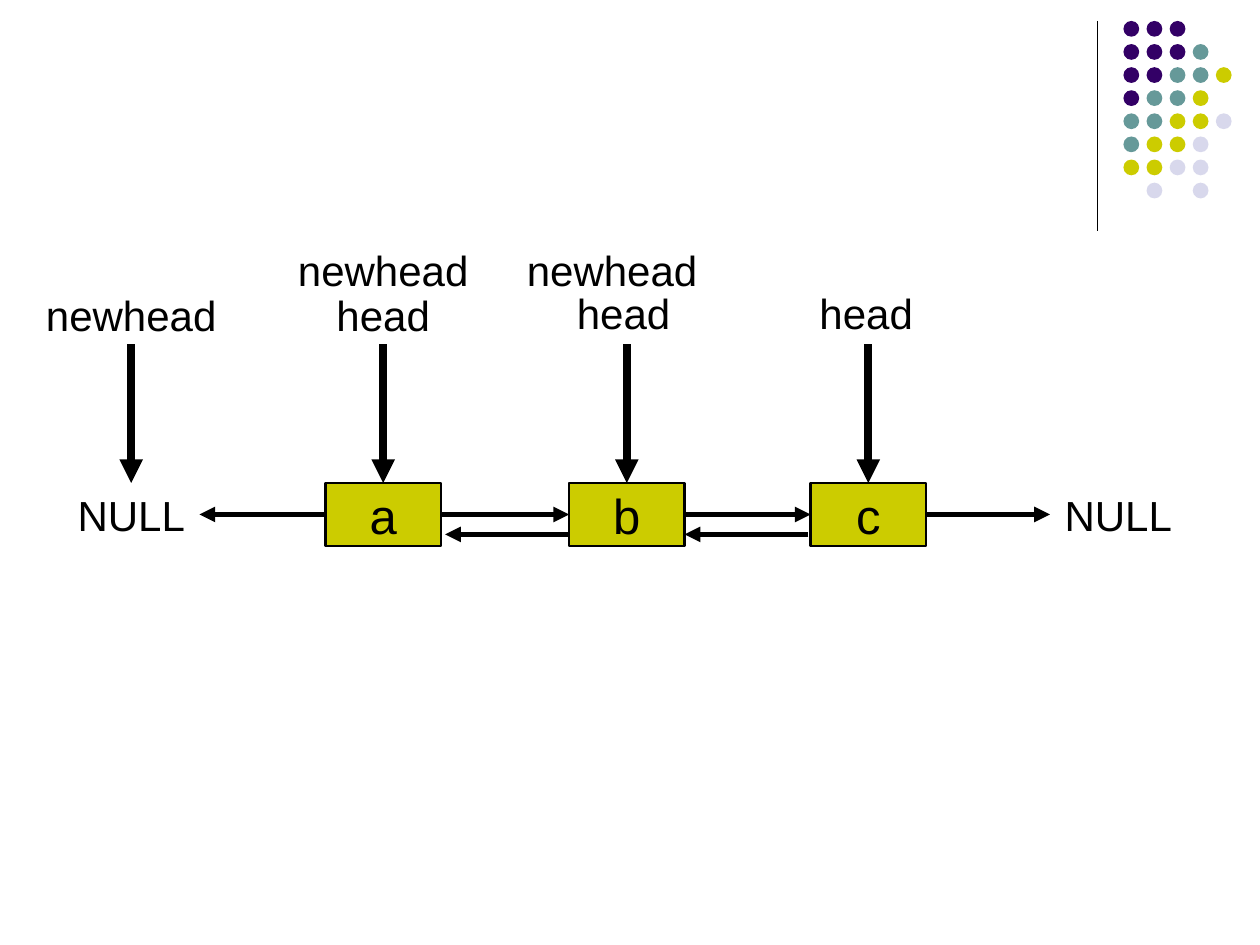
from dataclasses import dataclass

from lxml import etree
from pptx import Presentation
from pptx.dml.color import RGBColor
from pptx.enum.shapes import MSO_CONNECTOR, MSO_SHAPE
from pptx.enum.text import MSO_ANCHOR, PP_ALIGN
from pptx.oxml.ns import qn
from pptx.util import Inches, Pt

RECTANGLE = MSO_SHAPE.RECTANGLE
OVAL = MSO_SHAPE.OVAL
STRAIGHT = MSO_CONNECTOR.STRAIGHT
CENTER = PP_ALIGN.CENTER
MIDDLE = MSO_ANCHOR.MIDDLE
TOP, LEFT, RIGHT = 0, 1, 3
COLUMNS, ROWS = 120, 90


@dataclass(frozen=True)
class Theme:
    """Colours, font, type sizes and line weights."""
    ink: str = "000000"
    purple: str = "330066"
    teal: str = "669999"
    lime: str = "CCCC00"
    lavender: str = "D8D8EC"
    font: str = "Arial"
    node_size: int = 28
    label_size: int = 24
    rule: float = 0.75
    outline: float = 1.5
    link: float = 3
    pointer: float = 4.5


class ListDiagram:
    """Draws linked-list elements on a slide grid."""

    def __init__(self, presentation, slide, theme):
        self.slide = slide
        self.theme = theme
        self.column = presentation.slide_width / COLUMNS
        self.row = presentation.slide_height / ROWS

    def place(self, column, row):
        """Convert grid units to slide lengths."""
        return round(column * self.column), round(row * self.row)

    def set_text(self, shape, text, size):
        """Set one centred run in a shape."""
        frame = shape.text_frame
        frame.vertical_anchor = MIDDLE
        paragraph = frame.paragraphs[0]
        paragraph.alignment = CENTER
        run = paragraph.add_run()
        run.text = text
        run.font.name = self.theme.font
        run.font.size = Pt(size)
        run.font.color.rgb = RGBColor.from_string(self.theme.ink)

    def solid(self, kind, column, row, width, height, color):
        """Add a plain filled shape."""
        shape = self.slide.shapes.add_shape(
            kind, *self.place(column, row), *self.place(width, height))
        shape.shadow.inherit = False
        shape.fill.solid()
        shape.fill.fore_color.rgb = RGBColor.from_string(color)
        shape.line.fill.background()
        return shape

    def node(self, text, column):
        """Add an outlined list node."""
        shape = self.solid(RECTANGLE, column, 46, 11, 6, self.theme.lime)
        shape.line.color.rgb = RGBColor.from_string(self.theme.ink)
        shape.line.width = Pt(self.theme.outline)
        shape.text_frame.word_wrap = False
        self.set_text(shape, text, self.theme.node_size)
        return shape

    def label(self, text, center, row, width):
        """Add a text label centred on a column."""
        box = self.slide.shapes.add_textbox(
            *self.place(center - width / 2, row), *self.place(width, 6))
        box.text_frame.word_wrap = True
        self.set_text(box, text, self.theme.label_size)
        return box

    def line(self, start, end, weight, arrow=True, source=None, target=None):
        """Add a straight line, joined to shape sides where given."""
        connector = self.slide.shapes.add_connector(
            STRAIGHT, *self.place(*start), *self.place(*end))
        if source:
            connector.begin_connect(*source)
        if target:
            connector.end_connect(*target)
        connector.line.color.rgb = RGBColor.from_string(self.theme.ink)
        connector.line.width = Pt(weight)
        properties = connector._element.spPr
        if arrow:
            outline = properties.find(qn("a:ln"))
            etree.SubElement(outline, qn("a:tailEnd"), type="triangle")
        etree.SubElement(properties, qn("a:effectLst"))

    def dots(self, pattern, column, row, pitch, size):
        """Add a dot grid from rows of colour letters."""
        colors = {"p": self.theme.purple, "t": self.theme.teal,
                  "y": self.theme.lime, "l": self.theme.lavender}
        for down, letters in enumerate(pattern):
            for across, letter in enumerate(letters):
                if letter in colors:
                    self.solid(OVAL, column + across * pitch, row + down * pitch,
                               size, size, colors[letter])


def main():
    """Build and save the linked-list slide."""
    presentation = Presentation()
    presentation.slide_width = Inches(10)
    presentation.slide_height = Inches(7.5)
    slide = presentation.slides.add_slide(presentation.slide_layouts[6])
    theme = Theme()
    diagram = ListDiagram(presentation, slide, theme)

    diagram.line((104.5, 2), (104.5, 22), theme.rule, arrow=False)
    pattern = ("ppp", "pppt", "pptty", "ptty", "ttyyl", "tyyl", "yyll", ".l.l")
    diagram.dots(pattern, 107, 2, 2.2, 1.5)

    nodes = [diagram.node(text, column)
             for text, column in (("a", 31), ("b", 54.2), ("c", 77.2))]
    first_null, last_null = [diagram.label("NULL", center, 46, 13)
                             for center in (12.5, 106.5)]

    chain = [*nodes, last_null]
    for source, target in zip(chain, chain[1:]):
        diagram.line((0, 49), (0, 49), theme.link,
                     source=(source, RIGHT), target=(target, LEFT))
    diagram.line((0, 49), (0, 49), theme.link,
                 source=(nodes[0], LEFT), target=(first_null, RIGHT))
    for start, end in ((54.2, 42.4), (77, 65.2)):
        diagram.line((start, 50.9), (end, 50.9), theme.link)

    for center, target in zip((12.5, 36.5, 59.7, 82.7), (first_null, *nodes)):
        diagram.line((center, 32.8), (center, 46), theme.pointer,
                     target=(target, TOP))

    for center, row in ((36.5, 27), (59.4, 26.8), (82.5, 26.8)):
        diagram.label("head", center, row, 13)
    for center, row in ((12.5, 27), (36.5, 22.7), (58.3, 22.7)):
        diagram.label("newhead", center, row, 19)

    presentation.save("out.pptx")


if __name__ == "__main__":
    main()
